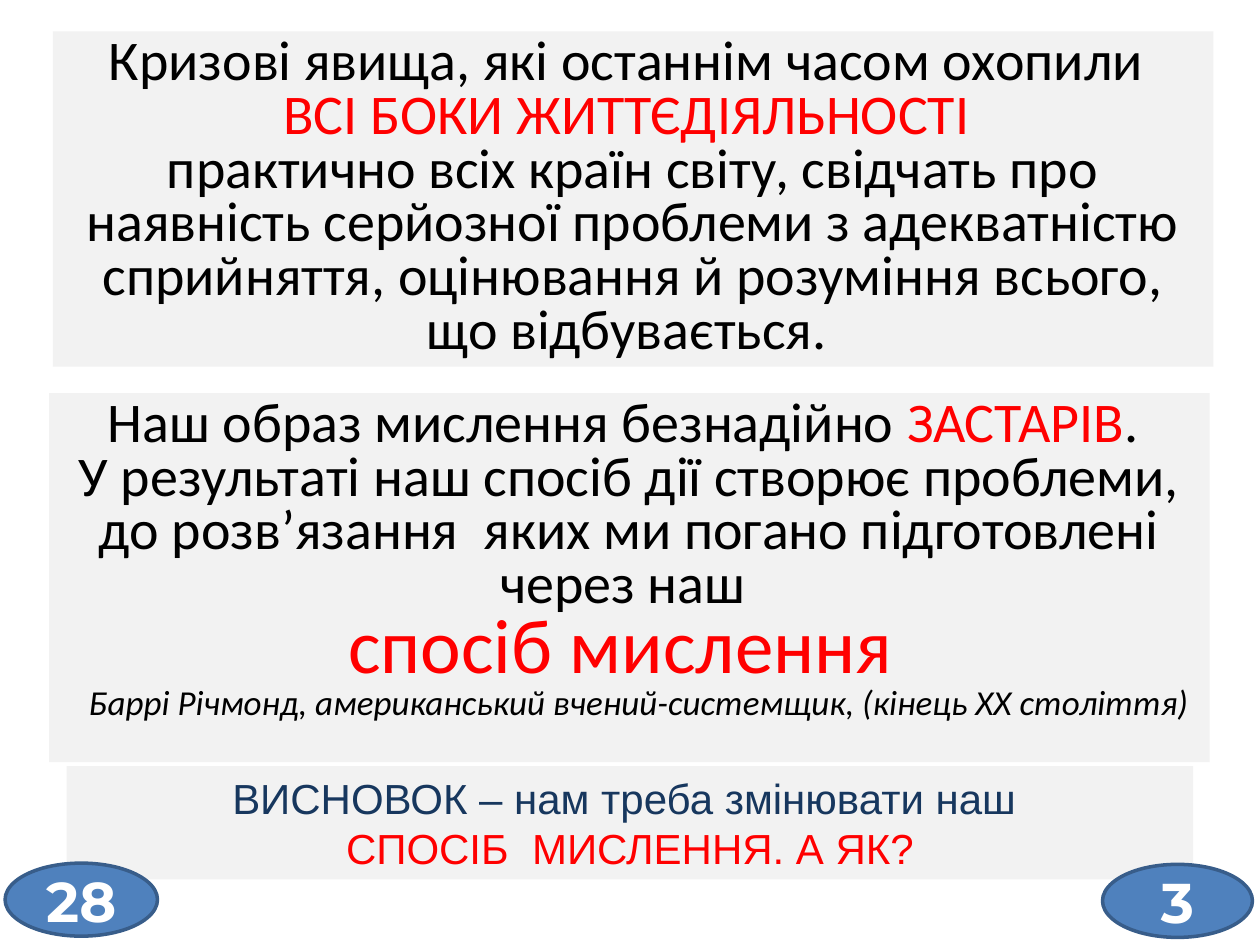
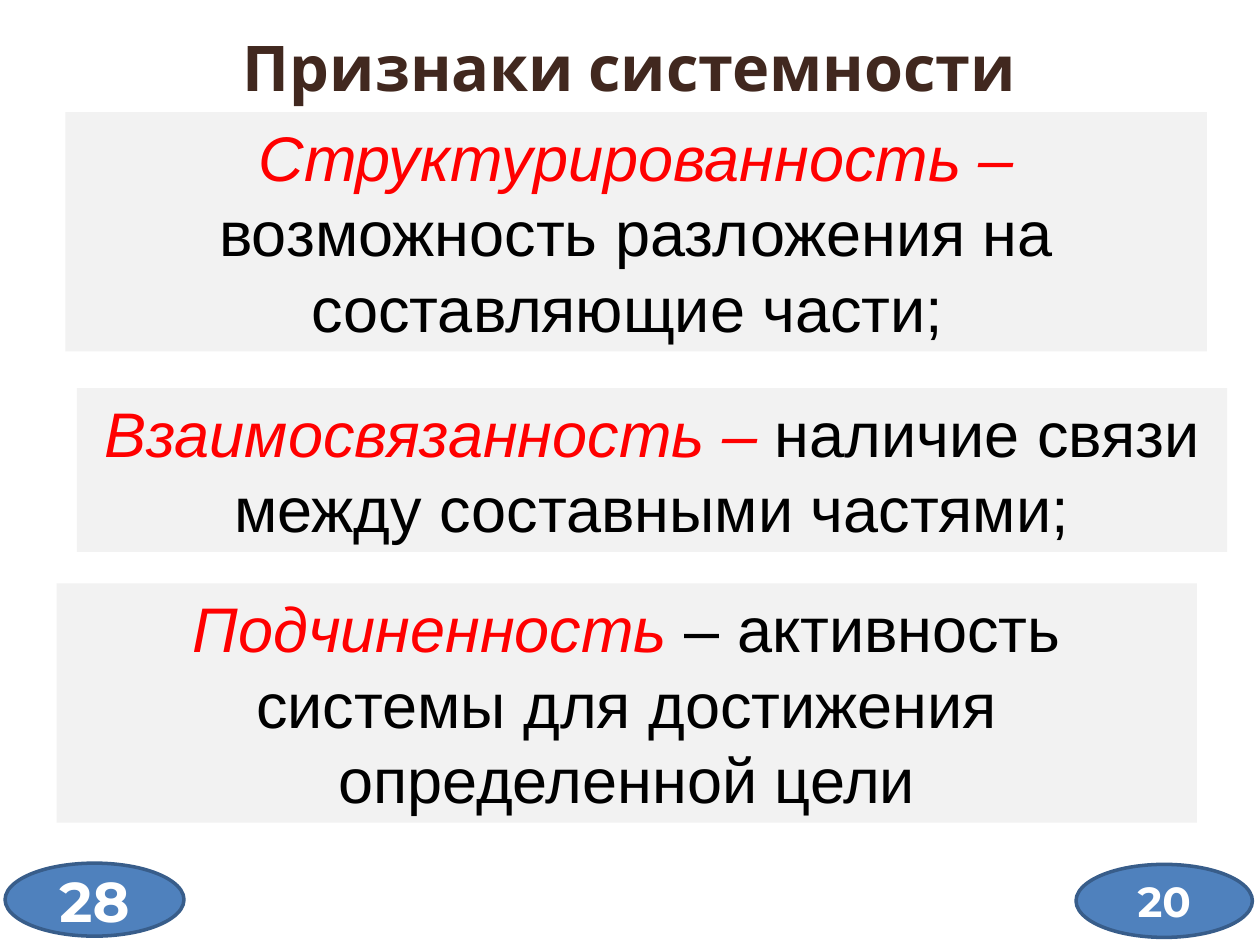
from pptx import Presentation
from pptx.dml.color import RGBColor
from pptx.enum.shapes import MSO_SHAPE
from pptx.enum.text import MSO_ANCHOR, MSO_AUTO_SIZE, PP_ALIGN
from pptx.util import Inches, Pt

# Shared style
BLACK, RED, NAVY, BROWN, WHITE = "000000", "FF0000", "17375E", "41281F", "FFFFFF"
PANEL_GRAY, BADGE_BLUE, BADGE_EDGE = "F2F2F2", "4F81BD", "385D8A"
TITLE_ONLY, BLANK = 5, 6
BADGE_HEIGHT = 0.58


def rgb(value):
    return RGBColor.from_string(value)


def add_text(paragraph, text, size=36, font="Arial", color=BLACK, bold=False, italic=False):
    run = paragraph.add_run()
    run.text = text
    run.font.size = Pt(size)
    run.font.name = font
    run.font.color.rgb = rgb(color)
    run.font.bold = bold
    run.font.italic = italic


class Deck:
    def __init__(self):
        self.presentation = Presentation()
        self.presentation.slide_width = Inches(10)
        self.presentation.slide_height = Inches(7.5)
        self.slide = None

    def new_slide(self, layout):
        layouts = self.presentation.slide_layouts
        self.slide = self.presentation.slides.add_slide(layouts[layout])

    def fill_frame(self, frame, paragraphs, anchor=MSO_ANCHOR.TOP, spacing=1.0,
                   last_align=PP_ALIGN.CENTER, **style):
        """Each paragraph is a list of (text, format changes) pairs."""
        frame.word_wrap = True
        frame.auto_size = MSO_AUTO_SIZE.NONE
        frame.vertical_anchor = anchor
        for number, parts in enumerate(paragraphs):
            paragraph = frame.add_paragraph() if number else frame.paragraphs[0]
            paragraph.alignment = PP_ALIGN.CENTER
            paragraph.line_spacing = spacing
            paragraph.space_before = Pt(0)
            for text, changes in parts:
                add_text(paragraph, text, **{**style, **changes})
        paragraph.alignment = last_align

    def shape(self, kind, box, fill):
        shape = self.slide.shapes.add_shape(kind, *map(Inches, box))
        shape.shadow.inherit = False
        shape.fill.solid()
        shape.fill.fore_color.rgb = rgb(fill)
        return shape

    def title(self, text, box):
        title = self.slide.shapes.title
        title.left, title.top, title.width, title.height = map(Inches, box)
        self.fill_frame(title.text_frame, [[(text, {})]], font="Cabin", color=BROWN, bold=True)

    def panel(self, box, paragraphs, **style):
        panel = self.shape(MSO_SHAPE.RECTANGLE, box, PANEL_GRAY)
        panel.line.fill.background()
        self.fill_frame(panel.text_frame, paragraphs, **style)

    def badge(self, number, left, top, width, size):
        badge = self.shape(MSO_SHAPE.OVAL, (left, top, width, BADGE_HEIGHT), BADGE_BLUE)
        badge.line.color.rgb = rgb(BADGE_EDGE)
        badge.line.width = Pt(2)
        self.fill_frame(badge.text_frame, [[(number, {})]], anchor=MSO_ANCHOR.MIDDLE,
                        size=size, font="Montserrat", color=WHITE, bold=True)

    def page_badges(self, page, total, width, page_size=32):
        self.badge(page, 9.94 - width, 6.86, width, page_size)
        self.badge(total, 0.04, 6.85, width + 0.02, 32)


def build_crisis_slide(deck):
    deck.new_slide(BLANK)
    red = {"color": RED}
    quote_style = {"size": 32, "font": "Calibri", "spacing": 0.8}

    # Crisis statement
    deck.panel((0.42, 0.25, 9.21, 2.66), [
        [("Кризові явища, які останнім часом охопили ", {})],
        [("ВСІ БОКИ ЖИТТЄДІЯЛЬНОСТІ ", red)],
        [("практично всіх країн світу, свідчать про наявність серйозної проблеми "
          "з адекватністю сприйняття, оцінювання й розуміння всього, "
          "що відбувається. ", {})],
    ], **quote_style)

    # Quotation and its author
    deck.panel((0.39, 3.12, 9.21, 2.93), [
        [("Наш образ мислення безнадійно ", {}), ("ЗАСТАРІВ", red), (". ", {})],
        [("У результаті наш спосіб дії створює проблеми, до розв’язання  яких "
          "ми погано підготовлені через наш ", {})],
        [("спосіб мислення ", {"size": 44, "color": RED})],
        [("Баррі Річмонд, американський вчений-системщик, (кінець ХХ століття) ",
          {"size": 20, "italic": True})],
    ], last_align=PP_ALIGN.RIGHT, **quote_style)

    # Conclusion
    deck.panel((0.53, 6.08, 8.94, 0.9), [
        [("ВИСНОВОК – нам треба змінювати наш ", {"color": NAVY})],
        [("СПОСІБ  МИСЛЕННЯ. А ЯК?", red)],
    ], size=24)

    deck.page_badges("3", "28", 1.19)


def build_features_slide(deck):
    deck.new_slide(TITLE_ONLY)
    deck.title("Признаки системности ", (0.47, 0.18, 9.17, 0.7))

    # Feature definitions: box, term, meaning
    features = [
        ((0.52, 0.89, 9.06, 1.9), "Структурированность – ",
         "возможность разложения на составляющие части; "),
        ((0.61, 3.08, 9.13, 1.3), "Взаимосвязанность – ",
         "наличие связи между составными частями;"),
        ((0.45, 4.63, 9.05, 1.9), "Подчиненность",
         " – активность системы для достижения определенной цели"),
    ]
    for box, term, meaning in features:
        deck.panel(box, [[(term, {"color": RED, "italic": True}), (meaning, {})]])

    deck.page_badges("20", "28", 1.4, page_size=24)


def main():
    deck = Deck()
    build_crisis_slide(deck)
    build_features_slide(deck)
    deck.presentation.save("out.pptx")


if __name__ == "__main__":
    main()
